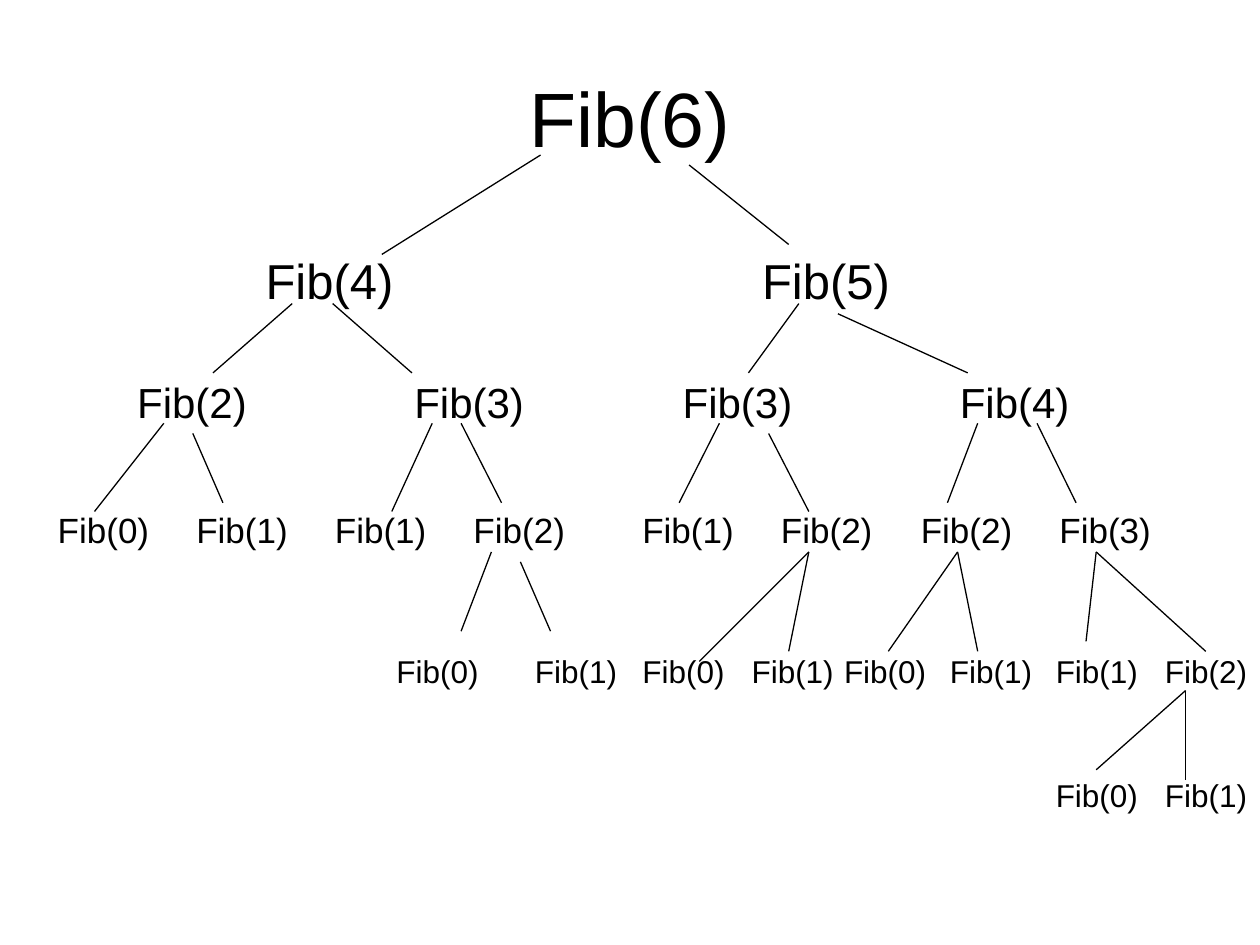
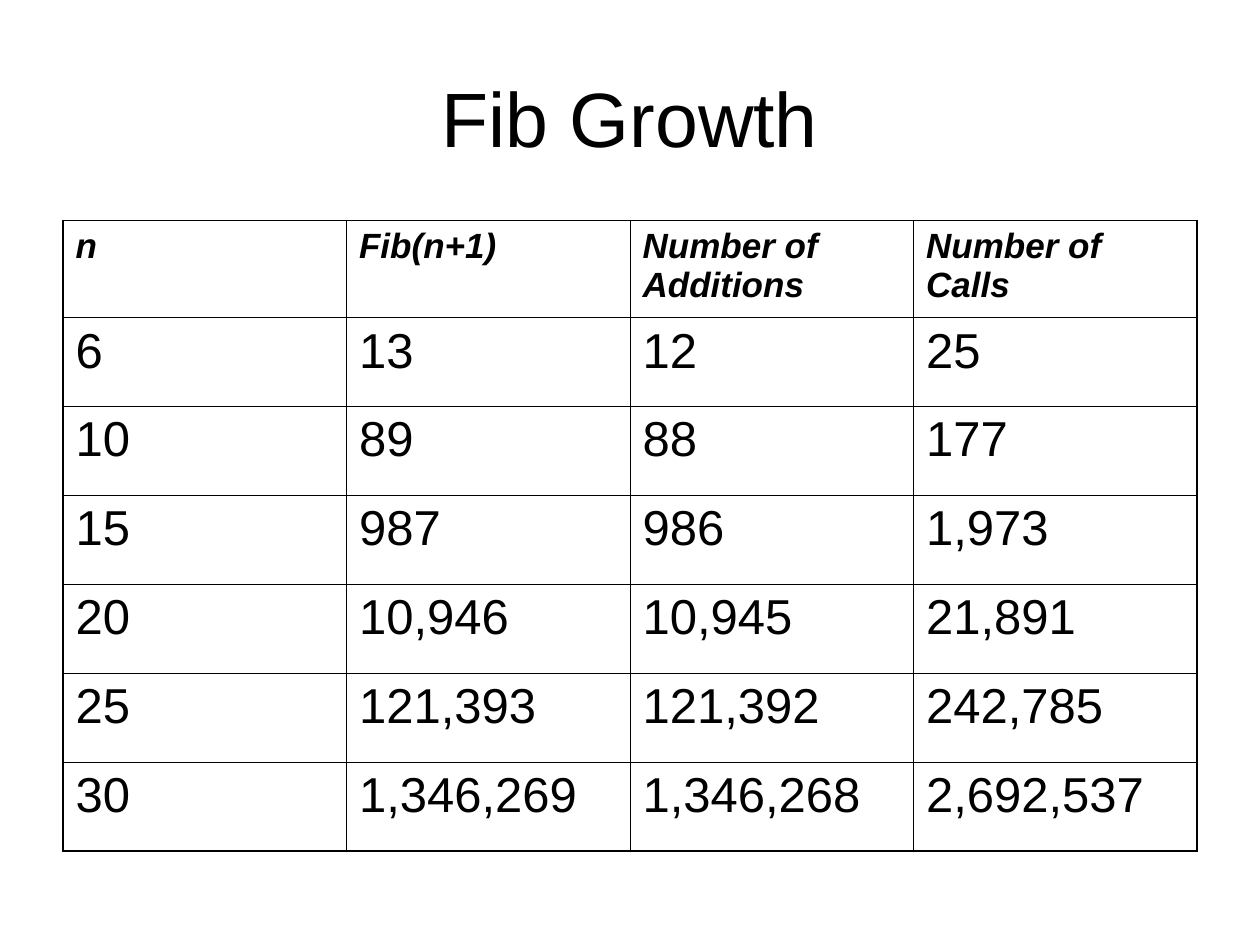
"""Build two slides on the recursive Fibonacci call tree and its growth."""
import lxml.etree
import pptx
import pptx.dml.color
import pptx.enum.shapes
import pptx.enum.text
import pptx.oxml.ns
import pptx.util

Pt = pptx.util.Pt
qn = pptx.oxml.ns.qn

BLACK = pptx.dml.color.RGBColor(0, 0, 0)
FONT = "Arial"
TITLE_BOX = (36, 21.6, 648, 90)
TITLE_SIZE = 44

ROOT = 6
LEVELS = [
    {"size": 28, "top": 139.7, "box": (88, 41), "calls": [
        (144.7, (308.9, 88.6), (218.2, 145.4)),
        (428.4, (393.8, 94.3), (450.7, 139.7))]},
    {"size": 24, "top": 211.7, "box": (77.4, 36), "calls": [
        (71.3, (167, 173.5), (121.7, 213.1)),
        (229.7, (190.1, 173.5), (235.4, 213.1)),
        (383, (456.5, 173.5), (427.7, 213.1)),
        (541.4, (478.8, 179.3), (553, 213.1))]},
    {"size": 20, "top": 287.3, "box": (67, 31.7), "calls": [
        (25.9, (93.6, 241.9), (54, 292.3)),
        (105.1, (110.2, 247.7), (127.4, 287.3)),
        (184.3, (247, 241.9), (223.9, 292.3)),
        (263.5, (263.5, 241.9), (286.6, 287.3)),
        (360, (411.1, 241.9), (388.1, 287.3)),
        (439.2, (439.2, 247.7), (462.2, 292.3)),
        (519.1, (558.7, 241.9), (541.4, 287.3)),
        (598.3, (592.6, 241.9), (614.9, 287.3))]},
    {"size": 18, "top": 368.9, "box": (61.2, 28.8), "calls": [
        (219.4, (280.8, 315.4), (263.5, 360.7)),
        (298.6, (297.4, 321.1), (314.6, 360.7)),
        (360, (462.2, 315.4), (399.6, 378)),
        (422.4, (462.2, 315.4), (450.7, 372.2)),
        (475.2, (547.2, 315.4), (507.6, 372.2)),
        (535.7, (547.2, 315.4), (558.7, 372.2)),
        (596.2, (626.4, 315.4), (620.6, 366.5)),
        (658.6, (626.4, 315.4), (689, 372.2))]},
    {"size": 18, "top": 440.2, "box": (61.2, 28.8), "calls": [
        (596.2, (677.5, 394.6), (626.4, 439.9)),
        (658.6, (677.5, 394.6), (677.5, 445.7))]},
]

GROWTH_TITLE = "Fib Growth"
GROWTH = [
    ("n", "Fib(n+1)", "Number of Additions", "Number of Calls"),
    ("6", "13", "12", "25"),
    ("10", "89", "88", "177"),
    ("15", "987", "986", "1,973"),
    ("20", "10,946", "10,945", "21,891"),
    ("25", "121,393", "121,392", "242,785"),
    ("30", "1,346,269", "1,346,268", "2,692,537"),
]
TABLE_LEFT, TABLE_TOP, COLUMN_WIDTH = 36, 126, 162
HEADER_HEIGHT, ROW_HEIGHT = 55.4, 50.85
OUTER_LINE, INNER_LINE = 1.08, 0.45
NO_STYLE = "{2D5ABB26-0587-4C30-8999-92F81FD0307C}"


def format_text(p, size, bold=False, italic=False):
    for r in p.runs:
        r.font.name = FONT
        r.font.size = Pt(size)
        r.font.bold = bold
        r.font.italic = italic
        r.font.color.rgb = BLACK


def place(shape, left, top, width, height):
    shape.left, shape.top = Pt(left), Pt(top)
    shape.width, shape.height = Pt(width), Pt(height)


def add_titled_slide(prs, title):
    s = prs.slides.add_slide(prs.slide_layouts[5])
    sp = s.shapes.title
    place(sp, *TITLE_BOX)
    tf = sp.text_frame
    tf.text = title
    tf.vertical_anchor = pptx.enum.text.MSO_ANCHOR.MIDDLE
    tf.paragraphs[0].alignment = pptx.enum.text.PP_ALIGN.CENTER
    format_text(tf.paragraphs[0], TITLE_SIZE)
    return s


def add_call(s, n, left, level):
    width, height = level["box"]
    sp = s.shapes.add_textbox(Pt(left), Pt(level["top"]), Pt(width), Pt(height))
    tf = sp.text_frame
    tf.text = f"Fib({n})"
    tf.word_wrap = False
    tf.auto_size = pptx.enum.text.MSO_AUTO_SIZE.SHAPE_TO_FIT_TEXT
    format_text(tf.paragraphs[0], level["size"])


def add_branch(s, start, end):
    line = s.shapes.add_connector(
        pptx.enum.shapes.MSO_CONNECTOR.STRAIGHT, *map(Pt, start + end))
    line.line.color.rgb = BLACK
    line.line.width = Pt(0.75)
    sp_pr = line._element.find(qn("p:spPr"))
    lxml.etree.SubElement(sp_pr, qn("a:effectLst"))


def build_call_tree(prs):
    s = add_titled_slide(prs, f"Fib({ROOT})")
    parents = [ROOT]
    for level in LEVELS:
        children = [n - k for n in parents if n > 1 for k in (2, 1)]
        for n, (left, start, end) in zip(children, level["calls"]):
            add_call(s, n, left, level)
            add_branch(s, start, end)
        parents = children


def set_border(cell, side, width):
    tc_pr = cell._tc.get_or_add_tcPr()
    ln = lxml.etree.SubElement(tc_pr, qn(f"a:ln{side}"), w=str(int(Pt(width))))
    fill = lxml.etree.SubElement(ln, qn("a:solidFill"))
    lxml.etree.SubElement(fill, qn("a:srgbClr"), val=str(BLACK))


def build_growth_table(prs):
    s = add_titled_slide(prs, GROWTH_TITLE)
    rows, cols = len(GROWTH), len(GROWTH[0])
    heights = [HEADER_HEIGHT] + [ROW_HEIGHT] * (rows - 1)
    frame = s.shapes.add_table(rows, cols, Pt(TABLE_LEFT), Pt(TABLE_TOP),
                               Pt(COLUMN_WIDTH * cols), Pt(sum(heights)))
    table = frame.table
    table.horz_banding = False
    table._tbl.tblPr.find(qn("a:tableStyleId")).text = NO_STYLE
    for column in table.columns:
        column.width = Pt(COLUMN_WIDTH)
    for i, values in enumerate(GROWTH):
        header = i == 0
        table.rows[i].height = Pt(heights[i])
        for j, value in enumerate(values):
            cell = table.cell(i, j)
            cell.text_frame.text = value
            p = cell.text_frame.paragraphs[0]
            p.space_before = Pt(5 if header else 7)
            format_text(p, 20 if header else 28, header, header)
            outer = {"L": j == 0, "R": j == cols - 1, "T": header, "B": i == rows - 1}
            for side, is_outer in outer.items():
                set_border(cell, side, OUTER_LINE if is_outer else INNER_LINE)
            cell.fill.background()


def main():
    prs = pptx.Presentation()
    prs.slide_width, prs.slide_height = Pt(720), Pt(540)
    build_call_tree(prs)
    build_growth_table(prs)
    prs.save("out.pptx")


if __name__ == "__main__":
    main()
